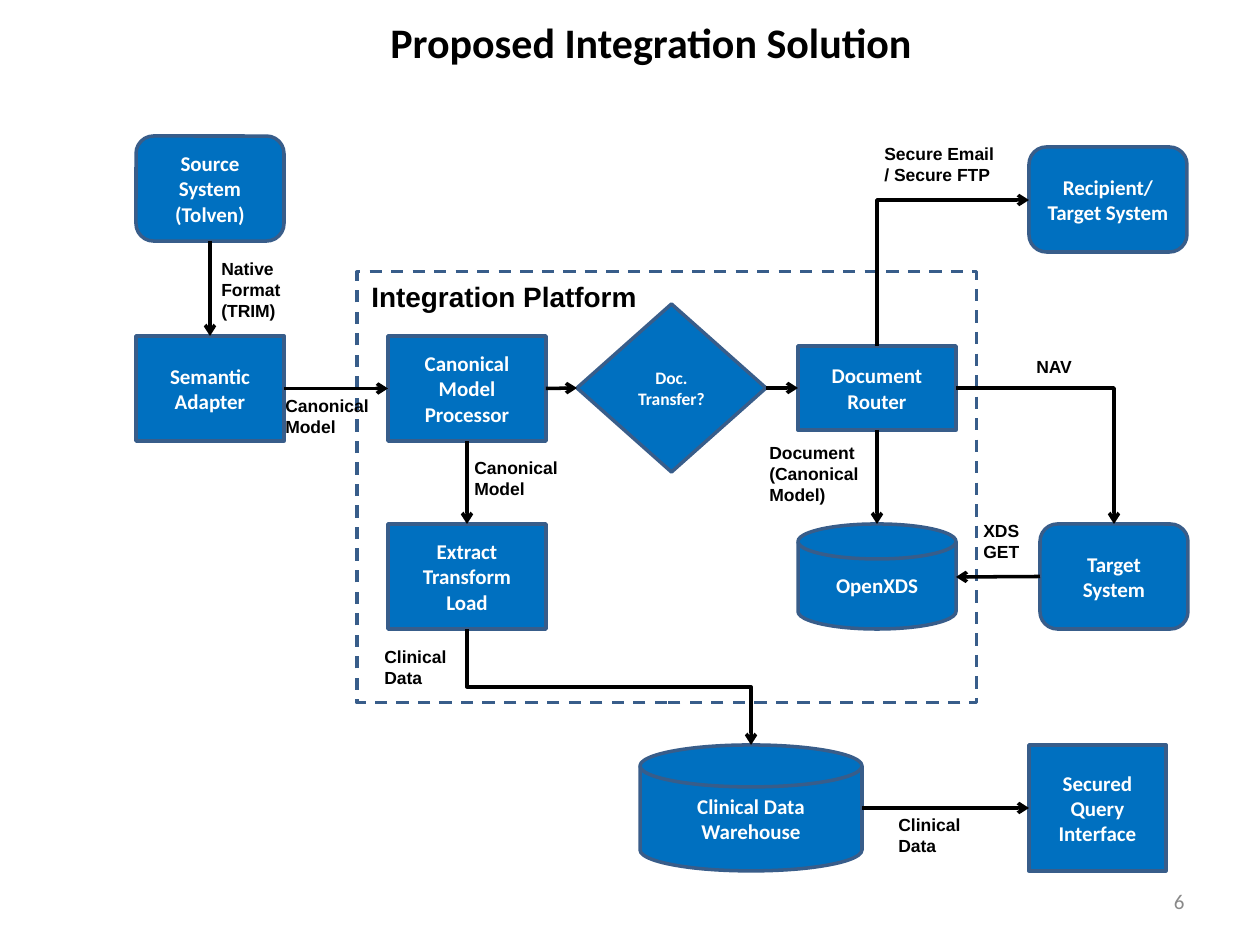
"""Build the Proposed Integration Solution flow diagram slide."""
from lxml import etree
from pptx import Presentation
from pptx.dml.color import RGBColor
from pptx.enum.dml import MSO_LINE
from pptx.enum.shapes import MSO_CONNECTOR as LINK, MSO_SHAPE as SHAPE
from pptx.enum.text import MSO_ANCHOR as ANCHOR, PP_ALIGN as ALIGN
from pptx.oxml.ns import qn
from pptx.util import Emu, Pt

BLUE = RGBColor(0x00, 0x70, 0xC0)
NAVY = RGBColor(0x38, 0x5D, 0x8A)
BLACK = RGBColor(0x00, 0x00, 0x00)
WHITE = RGBColor(0xFF, 0xFF, 0xFF)
GREY = RGBColor(0x89, 0x89, 0x89)
TOP, LEFT, BOTTOM, RIGHT = range(4)
DISK_TOP = 1


def px(*lengths):
    return [Emu(round(length * 914400 / 126)) for length in lengths]


def write(frame, lines, size, color, font="Calibri", bold=True, align=ALIGN.LEFT):
    frame.text = "\n".join(lines)
    frame.word_wrap = True
    for paragraph in frame.paragraphs:
        paragraph.alignment = align
        paragraph.font.name = font
        paragraph.font.size = Pt(size)
        paragraph.font.bold = bold
        paragraph.font.color.rgb = color


prs = Presentation()
prs.slide_width, prs.slide_height = px(1260, 945)
slide = prs.slides.add_slide(prs.slide_layouts[5])
shapes = slide.shapes

title = shapes.title
title.left, title.top, title.width, title.height = px(84, 10, 1134, 136)
title.text_frame.vertical_anchor = ANCHOR.TOP
write(title.text_frame, ["Proposed Integration Solution"], 24, BLACK, align=ALIGN.CENTER)

platform = shapes.add_shape(SHAPE.RECTANGLE, *px(357, 272, 620, 431))
platform.shadow.inherit = False
platform.fill.background()
platform.line.color.rgb = NAVY
platform.line.width = Pt(1.75)
platform.line.dash_style = MSO_LINE.DASH

steps = {}
for key, kind, box, lines in [
    ("source", SHAPE.ROUNDED_RECTANGLE, (136, 136, 148, 105), ["Source System", "(Tolven)"]),
    ("adapter", SHAPE.RECTANGLE, (136, 336, 148, 105), ["Semantic Adapter"]),
    ("processor", SHAPE.RECTANGLE, (388, 336, 158, 105), ["Canonical", "Model", "Processor"]),
    ("decision", SHAPE.FLOWCHART_DECISION, (577, 304, 189, 168), ["Doc.", "Transfer?"]),
    ("router", SHAPE.RECTANGLE, (798, 346, 158, 84), ["Document", "Router"]),
    ("etl", SHAPE.RECTANGLE, (388, 524, 158, 105), ["Extract", "Transform", "Load"]),
    ("openxds", SHAPE.FLOWCHART_MAGNETIC_DISK, (798, 524, 158, 105), ["OpenXDS"]),
    ("target", SHAPE.ROUNDED_RECTANGLE, (1040, 524, 148, 105), ["Target", "System"]),
    ("recipient", SHAPE.ROUNDED_RECTANGLE, (1029, 147, 158, 105), ["Recipient/", "Target System"]),
    ("warehouse", SHAPE.FLOWCHART_MAGNETIC_DISK, (640, 745, 222, 126), ["Clinical Data", "Warehouse"]),
    ("query", SHAPE.RECTANGLE, (1029, 745, 137, 126), ["Secured", "Query", "Interface"]),
]:
    step = steps[key] = shapes.add_shape(kind, *px(*box))
    step.shadow.inherit = False
    step.fill.solid()
    step.fill.fore_color.rgb = BLUE
    step.line.color.rgb = NAVY
    step.line.width = Pt(2)
    step.text_frame.vertical_anchor = ANCHOR.MIDDLE
    write(step.text_frame, lines, 10 if key == "decision" else 12, WHITE, align=ALIGN.CENTER)

flows = []
for start, start_side, end, end_side, points in [
    ("source", BOTTOM, "adapter", TOP, (210, 241, 210, 336)),
    ("adapter", RIGHT, "processor", LEFT, (284, 388, 388, 388)),
    ("processor", RIGHT, "decision", LEFT, (546, 388, 577, 388)),
    ("decision", RIGHT, "router", LEFT, (766, 388, 798, 388)),
    ("processor", BOTTOM, "etl", TOP, (467, 441, 467, 524)),
    ("router", BOTTOM, "openxds", None, (877, 430, 877, 524)),
    ("openxds", None, "target", LEFT, (956, 577, 1040, 577)),
    ("warehouse", None, "query", LEFT, (862, 808, 1029, 808)),
]:
    flow = shapes.add_connector(LINK.STRAIGHT, *px(*points))
    if start_side is not None:
        flow.begin_connect(steps[start], start_side)
    if end_side is not None:
        flow.end_connect(steps[end], end_side)
    flows.append((flow, "a:headEnd" if start == "openxds" else "a:tailEnd"))

for start, start_side, end, end_side, preset, turn, flip, box in [
    ("router", RIGHT, "target", TOP, "bentConnector2", 0, False, (956, 388, 158, 136)),
    ("router", TOP, "recipient", LEFT, "bentConnector2", 270, False, (880, 197, 146, 152)),
    ("etl", BOTTOM, "warehouse", DISK_TOP, "bentConnector3", 270, True, (551, 545, 116, 284)),
]:
    flow = shapes.add_connector(LINK.ELBOW, 0, 0, 0, 0)
    flow.begin_connect(steps[start], start_side)
    flow.end_connect(steps[end], end_side)
    flow.left, flow.top, flow.width, flow.height = px(*box)
    properties = flow._element.spPr
    properties.find(qn("a:prstGeom")).set("prst", preset)
    frame = properties.find(qn("a:xfrm"))
    frame.rot, frame.flipH, frame.flipV = turn, flip, False
    flows.append((flow, "a:tailEnd"))

for flow, arrow_end in flows:
    flow.line.color.rgb = BLACK
    flow.line.width = Pt(2)
    etree.SubElement(flow.line._get_or_add_ln(), qn(arrow_end), type="arrow")
    etree.SubElement(flow._element.spPr, qn("a:effectLst"))

for box, size, lines in [
    ((359, 273, 320, 47), 16, ["Integration Platform"]),
    ((273, 389, 124, 55), 10, ["Canonical", "Model"]),
    ((209, 252, 100, 76), 10, ["Native", "Format", "(TRIM)"]),
    ((462, 451, 124, 55), 10, ["Canonical", "Model"]),
    ((1024, 350, 78, 34), 10, ["NAV"]),
    ((971, 514, 76, 55), 10, ["XDS", "GET"]),
    ((372, 640, 103, 55), 10, ["Clinical", "Data"]),
    ((757, 436, 129, 76), 10, ["Document", "(Canonical", "Model)"]),
    ((886, 808, 103, 55), 10, ["Clinical", "Data"]),
    ((872, 137, 156, 55), 10, ["Secure Email", "/ Secure FTP"]),
]:
    label = shapes.add_textbox(*px(*box))
    write(label.text_frame, lines, size, BLACK, font="Arial")

page_number = shapes.add_textbox(*px(903, 876, 294, 50))
page_number.text_frame.vertical_anchor = ANCHOR.MIDDLE
write(page_number.text_frame, ["6"], 12, GREY, bold=False, align=ALIGN.RIGHT)

prs.save("out.pptx")
